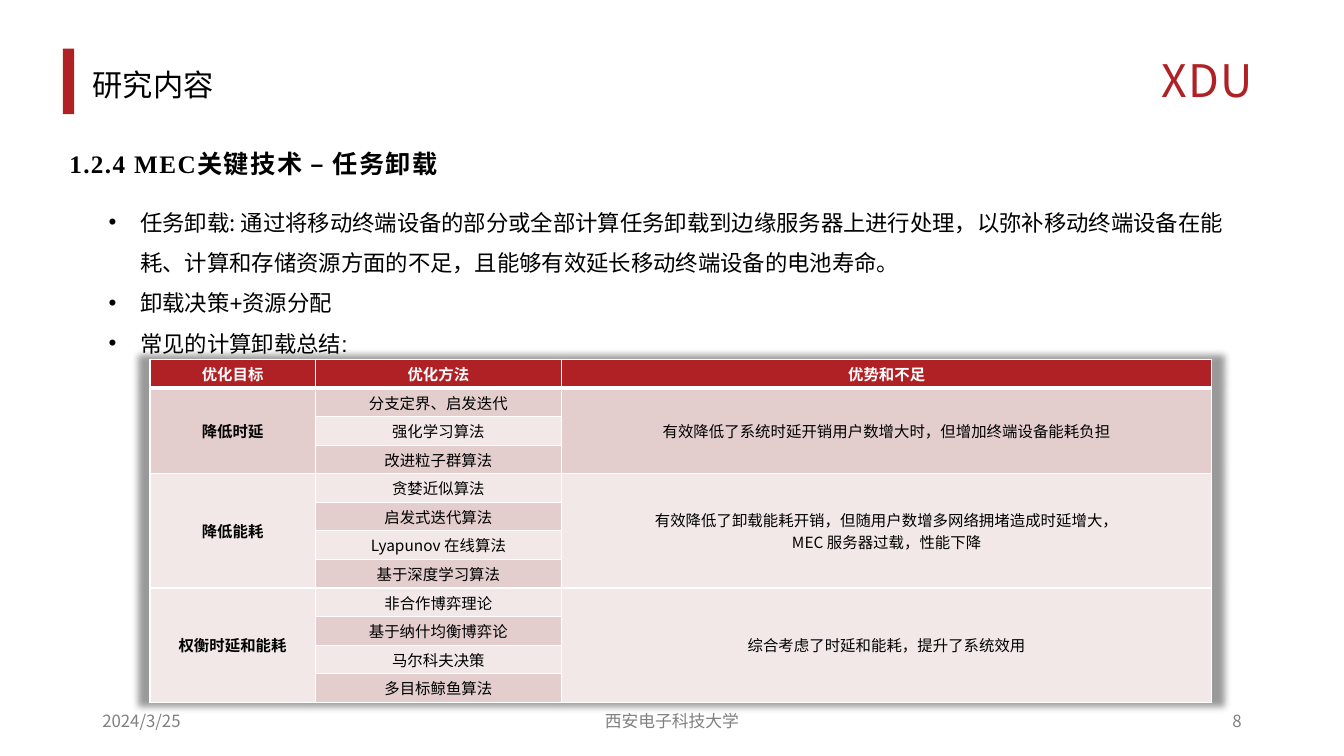
from lxml.etree import SubElement
from pptx import Presentation
from pptx.dml.color import RGBColor
from pptx.enum.shapes import MSO_SHAPE
from pptx.enum.text import MSO_ANCHOR, MSO_AUTO_SIZE, PP_ALIGN
from pptx.oxml import parse_xml
from pptx.oxml.ns import nsdecls, qn
from pptx.util import Pt

RED = RGBColor(0xAF, 0x21, 0x25)
DARK_PINK = RGBColor(0xE3, 0xCD, 0xCD)
LIGHT_PINK = RGBColor(0xF2, 0xE8, 0xE8)
WHITE = RGBColor(0xFF, 0xFF, 0xFF)
BLACK = RGBColor(0, 0, 0)
GRAY = RGBColor(0x80, 0x80, 0x80)
SANS, SERIF, ARIAL = "Noto Sans CJK SC", "Times New Roman", "Arial"

HEADERS = ["优化目标", "优化方法", "优势和不足"]
# Goal, methods, assessment, fill of the merged cells
GROUPS = [
    ("降低时延", ["分支定界、启发迭代", "强化学习算法", "改进粒子群算法"],
     ["有效降低了系统时延开销用户数增大时，但增加终端设备能耗负担"], DARK_PINK),
    ("降低能耗", ["贪婪近似算法", "启发式迭代算法", "Lyapunov 在线算法", "基于深度学习算法"],
     ["有效降低了卸载能耗开销，但随用户数增多网络拥堵造成时延增大，",
      "MEC 服务器过载，性能下降"], LIGHT_PINK),
    ("权衡时延和能耗", ["非合作博弈理论", "基于纳什均衡博弈论", "马尔科夫决策", "多目标鲸鱼算法"],
     ["综合考虑了时延和能耗，提升了系统效用"], LIGHT_PINK),
]
BULLETS = [
    ("任务卸载: 通过将移动终端设备的部分或全部计算任务卸载到边缘服务器上进行处理，"
     "以弥补移动终端设备在能耗、计算和存储资源方面的不足，"
     "且能够有效延长移动终端设备的电池寿命。", SANS),
    ("卸载决策+资源分配", ARIAL),
    ("常见的计算卸载总结:", ARIAL),
]


class SlideBuilder:
    def __init__(self, prs):
        self.s = prs.slides.add_slide(prs.slide_layouts[5])

    def run(self, p, text, size, font=SANS, color=BLACK, bold=False, spacing=0):
        r = p.add_run()
        r.text = text
        r.font.size, r.font.name, r.font.bold = Pt(size), font, bold
        r.font.color.rgb = color
        rPr = r._r.get_or_add_rPr()
        SubElement(rPr, qn("a:ea")).set("typeface", SANS)
        if spacing:
            rPr.set("spc", str(spacing * 100))

    def bar(self, x, y, w, h, color):
        sp = self.s.shapes.add_shape(MSO_SHAPE.RECTANGLE, Pt(x), Pt(y), Pt(w), Pt(h))
        sp.shadow.inherit = False
        sp.fill.solid()
        sp.fill.fore_color.rgb = color
        sp.line.fill.background()

    def title(self, text, x, y, w, h):
        sp = self.s.shapes.title
        sp.left, sp.top, sp.width, sp.height = Pt(x), Pt(y), Pt(w), Pt(h)
        tf = sp.text_frame
        tf.auto_size = MSO_AUTO_SIZE.NONE
        tf.vertical_anchor = MSO_ANCHOR.MIDDLE
        p = tf.paragraphs[0]
        p.alignment, p.line_spacing = PP_ALIGN.JUSTIFY, 1.3
        self.run(p, text, 21.6, SERIF)

    def box(self, x, y, w, h, anchor=MSO_ANCHOR.TOP, wrap=True):
        tf = self.s.shapes.add_textbox(Pt(x), Pt(y), Pt(w), Pt(h)).text_frame
        tf.word_wrap, tf.vertical_anchor = wrap, anchor
        return tf

    def label(self, text, x, y, w, h, size, align=PP_ALIGN.JUSTIFY, spacing=None,
              anchor=MSO_ANCHOR.TOP, wrap=True, **style):
        p = self.box(x, y, w, h, anchor, wrap).paragraphs[0]
        p.alignment, p.line_spacing = align, spacing
        self.run(p, text, size, **style)

    def bullets(self, items, x, y, w, h):
        tf = self.box(x, y, w, h)
        for i, (text, font) in enumerate(items):
            p = tf.add_paragraph() if i else tf.paragraphs[0]
            p.line_spacing = 1.5
            pPr = p._p.get_or_add_pPr()
            pPr.set("marL", str(Pt(22.5)))
            pPr.set("indent", str(-Pt(22.5)))
            SubElement(pPr, qn("a:buFont")).set("typeface", ARIAL)
            SubElement(pPr, qn("a:buChar")).set("char", "•")
            self.run(p, text, 16, font)

    def cell(self, cell, lines, fill, color=BLACK, bold=False, bottom=1):
        cell.fill.solid()
        cell.fill.fore_color.rgb = fill
        cell.vertical_anchor = MSO_ANCHOR.MIDDLE
        cell.margin_top = cell.margin_bottom = Pt(1)
        tcPr = cell._tc.get_or_add_tcPr()
        for i, (side, width) in enumerate(zip("LRTB", (1, 1, 1, bottom))):
            tcPr.insert(i, parse_xml(
                f'<a:ln{side} {nsdecls("a")} w="{Pt(width)}"><a:solidFill>'
                f'<a:srgbClr val="{WHITE}"/></a:solidFill></a:ln{side}>'))
        tf = cell.text_frame
        for i, text in enumerate(lines):
            p = tf.add_paragraph() if i else tf.paragraphs[0]
            p.alignment = PP_ALIGN.CENTER
            self.run(p, text, 11, color=color, bold=bold)

    def table(self, x, y, widths, row_height):
        rows = 1 + sum(len(methods) for _, methods, _, _ in GROUPS)
        table = self.s.shapes.add_table(rows, len(widths), Pt(x), Pt(y), Pt(sum(widths)),
                                        Pt(row_height * rows)).table
        for col, width in zip(table.columns, widths):
            col.width = Pt(width)
        for row in table.rows:
            row.height = Pt(row_height)
        # Soft shadow around the whole table
        table._tbl.tblPr.insert(0, parse_xml(
            f'<a:effectLst {nsdecls("a")}><a:outerShdw blurRad="63500" sx="102000" '
            'sy="102000" algn="ctr" rotWithShape="0"><a:srgbClr val="000000">'
            '<a:alpha val="40000"/></a:srgbClr></a:outerShdw></a:effectLst>'))
        for c, text in enumerate(HEADERS):
            self.cell(table.cell(0, c), [text], RED, WHITE, True, bottom=3)
        top = 1
        for goal, methods, verdict, fill in GROUPS:
            last = top + len(methods) - 1
            for r, method in enumerate(methods, top):
                first = r == top
                self.cell(table.cell(r, 0), [goal] if first else [], fill, bold=True)
                self.cell(table.cell(r, 1), [method], DARK_PINK if r % 2 else LIGHT_PINK)
                self.cell(table.cell(r, 2), verdict if first else [], fill)
            for c in (0, 2):
                table.cell(top, c).merge(table.cell(last, c))
            top = last + 1


def main():
    prs = Presentation()
    prs.slide_width, prs.slide_height = Pt(960), Pt(540)
    b = SlideBuilder(prs)

    # Header
    b.bar(45, 34.8, 8, 46.8, RED)
    b.title("研究内容", 59, 41.8, 828, 28.8)
    b.label("XDU", 822.3, 22.3, 87, 53.3, 32, spacing=1.3, wrap=False, color=RED)
    for run_spacing in (1,):
        b.s.shapes[-1].text_frame.paragraphs[0].runs[0]._r.rPr.set(
            "spc", str(run_spacing * 100))

    # Section heading and points
    p = b.box(42.5, 95.8, 376.6, 33).paragraphs[0]
    p.alignment, p.line_spacing = PP_ALIGN.JUSTIFY, 1.3
    b.run(p, "1.2.4 MEC关键技术 – 任务卸载", 18, SERIF, bold=True, spacing=1)
    b.bullets(BULLETS, 70.6, 136, 816.5, 121)

    # Summary of offloading methods
    b.table(107.2, 256.7, [118, 176, 464.5], 20.43)

    # Footer
    for text, x, w, align in [("2024/3/25", 66, 216, PP_ALIGN.LEFT),
                              ("西安电子科技大学", 318, 324, PP_ALIGN.CENTER),
                              ("8", 678, 216, PP_ALIGN.RIGHT)]:
        b.label(text, x, 500.5, w, 28.8, 12, align, anchor=MSO_ANCHOR.MIDDLE, color=GRAY)

    prs.save("out.pptx")


if __name__ == "__main__":
    main()
